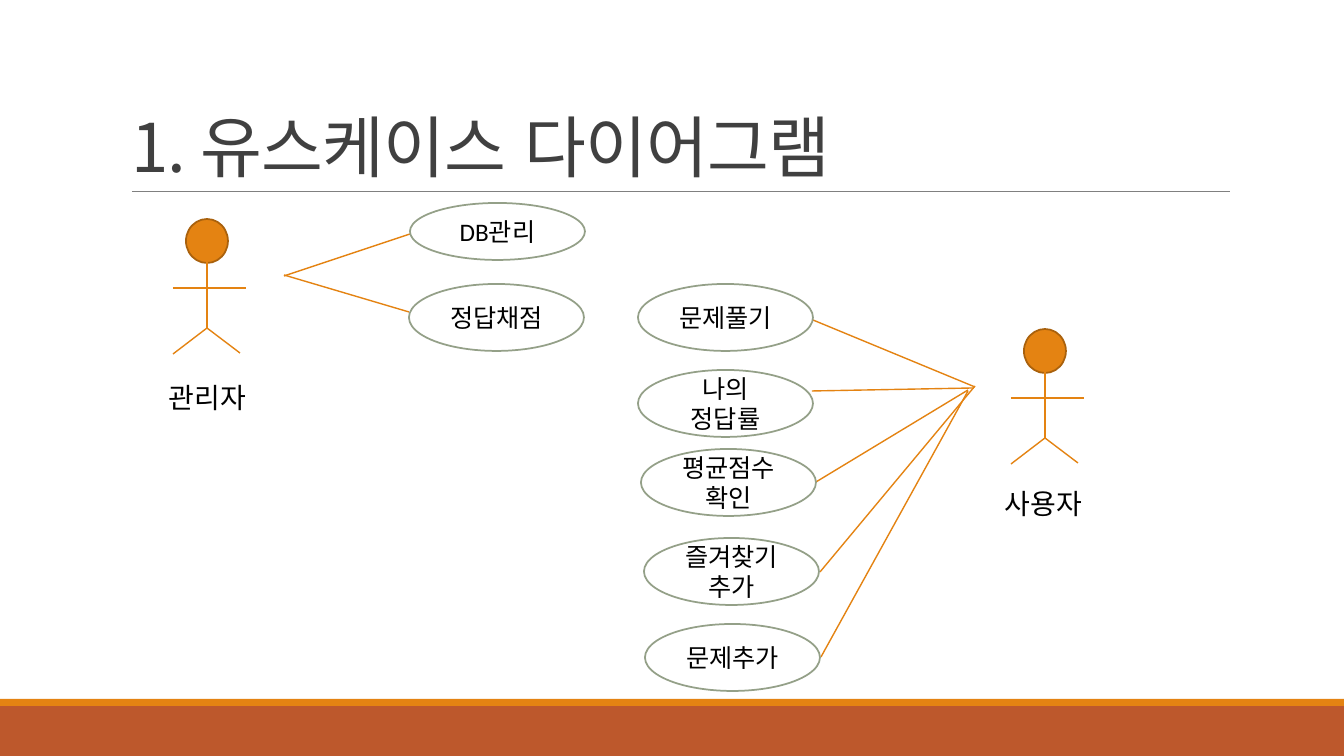
"""Build a use case diagram slide with two actors and their use cases."""
import dataclasses

import lxml.etree
import pptx
import pptx.dml.color
import pptx.enum.lang
import pptx.enum.shapes
import pptx.enum.text
import pptx.oxml.ns
import pptx.util

SHAPE = pptx.enum.shapes.MSO_SHAPE
ALIGN = pptx.enum.text.PP_ALIGN
ANCHOR = pptx.enum.text.MSO_ANCHOR


@dataclasses.dataclass(frozen=True)
class Theme:
    """Colours, fonts and point sizes of the slide."""
    orange: str = "E48312"
    head_edge: str = "A9610D"
    rust: str = "BD582C"
    sage: str = "94A088"
    white: str = "FFFFFF"
    rule: str = "808080"
    title_ink: str = "404040"
    ink: str = "000000"
    latin: str = "Calibri"
    korean: str = "Noto Sans CJK KR"
    title_size: int = 48
    actor_size: int = 20
    case_size: int = 18
    outline: float = 1.25
    stroke: float = 1
    rule_stroke: float = 0.5


THEME = Theme()
SLIDE_SIZE = (1344, 756)
CASE_SIZE = (175, 67)

ACTORS = [
    ("관리자", (173, 219), (159, 376, 130, 44)),
    ("사용자", (1011, 329), (995, 482, 116, 44)),
]
USE_CASES = [
    ("DB관리", (410, 203, 175, 57), (284, 276), (410, 234)),
    ("정답채점", (409, 284, *CASE_SIZE), (284, 275), (409, 312)),
    ("문제풀기", (638, 284, *CASE_SIZE), (813, 320), (975, 387)),
    ("나의 정답률", (638, 370, *CASE_SIZE), (812, 391), (974, 388)),
    ("평균점수 확인", (641, 449, *CASE_SIZE), (816, 482), (968, 390)),
    ("즐겨찾기 추가", (644, 538, *CASE_SIZE), (820, 572), (975, 386)),
    ("문제추가", (645, 624, *CASE_SIZE), (821, 657), (968, 391)),
]


def px(*lengths):
    """Turn pixel lengths into EMU."""
    return [pptx.util.Emu(round(length * 914400 / 100.8)) for length in lengths]


def rgb(code):
    """Return the colour for a hex code."""
    return pptx.dml.color.RGBColor.from_string(code)


def write(frame, words, size, color, latin=THEME.latin, align=ALIGN.LEFT, spacing=None):
    """Set and format the single paragraph of a text frame."""
    frame.text = words
    frame.word_wrap = True
    paragraph = frame.paragraphs[0]
    paragraph.alignment = align
    for run in paragraph.runs:
        run.font.size = pptx.util.Pt(size)
        run.font.color.rgb = rgb(color)
        run.font.name = latin
        run.font.language_id = pptx.enum.lang.MSO_LANGUAGE_ID.KOREAN
        properties = run._r.get_or_add_rPr()
        if spacing is not None:
            properties.set("spc", str(spacing))
        east_asian = lxml.etree.SubElement(properties, pptx.oxml.ns.qn("a:ea"))
        east_asian.set("typeface", THEME.korean)
    return paragraph


def add_filled(slide, kind, box, fill, edge=None):
    """Add a flat preset shape with an optional outline."""
    shape = slide.shapes.add_shape(kind, *px(*box))
    shape.shadow.inherit = False
    shape.fill.solid()
    shape.fill.fore_color.rgb = rgb(fill)
    if edge:
        shape.line.color.rgb = rgb(edge)
        shape.line.width = pptx.util.Pt(THEME.outline)
    else:
        shape.line.fill.background()
    return shape


def add_line(slide, start, end, color=THEME.orange, width=THEME.stroke):
    """Add a straight line without a shadow."""
    straight = pptx.enum.shapes.MSO_CONNECTOR.STRAIGHT
    line = slide.shapes.add_connector(straight, *px(*start, *end))
    line.line.color.rgb = rgb(color)
    line.line.width = pptx.util.Pt(width)
    lxml.etree.SubElement(line._element.spPr, pptx.oxml.ns.qn("a:effectLst"))


def add_footer(slide, box):
    """Draw the rust band with its thin orange top edge."""
    left, top, width, height = box
    edge = 7
    add_filled(slide, SHAPE.RECTANGLE, (left, top + edge, width, height - edge), THEME.rust)
    add_filled(slide, SHAPE.RECTANGLE, (left, top, width, edge), THEME.orange)


def add_heading(slide, words, box):
    """Place the title and the rule under it."""
    left, top, width, height = box
    title = slide.shapes.title
    title.left, title.top, title.width, title.height = px(*box)
    frame = title.text_frame
    frame.auto_size = pptx.enum.text.MSO_AUTO_SIZE.NONE
    frame.vertical_anchor = ANCHOR.BOTTOM
    paragraph = write(frame, words, THEME.title_size, THEME.title_ink,
                      latin=THEME.korean, spacing=-50)
    paragraph.line_spacing = 0.85
    paragraph.space_before = pptx.util.Pt(0)
    bottom = top + height
    add_line(slide, (left + 11, bottom), (left + width, bottom), THEME.rule, THEME.rule_stroke)


def add_actor(slide, name, origin, label_box):
    """Draw a stick figure from its top left corner, and its name."""
    left, top = origin
    middle, hip = left + 34, top + 109
    add_filled(slide, SHAPE.OVAL, (left + 13, top, 42, 44), THEME.orange, THEME.head_edge)
    limbs = [
        ((left, top + 69), (left + 73, top + 69)),
        ((middle, top + 43), (middle, hip)),
        ((middle, hip), (left + 67, top + 134)),
        ((left, top + 135), (middle, hip)),
    ]
    for start, end in limbs:
        add_line(slide, start, end)
    label = slide.shapes.add_textbox(*px(*label_box))
    write(label.text_frame, name, THEME.actor_size, THEME.ink)


def add_use_case(slide, name, box, start, end):
    """Draw a use case and the line that links it to its actor."""
    add_line(slide, start, end)
    case = add_filled(slide, SHAPE.OVAL, box, THEME.white, THEME.sage)
    case.text_frame.vertical_anchor = ANCHOR.MIDDLE
    write(case.text_frame, name, THEME.case_size, THEME.ink, align=ALIGN.CENTER)


def add_use_case_slide(deck):
    """Add the whole use case diagram slide."""
    slide = deck.slides.add_slide(deck.slide_layouts[5])
    add_footer(slide, (0, 699, SLIDE_SIZE[0], 57))
    add_heading(slide, "1. 유스케이스 다이어그램", (121, 31, 1109, 160))
    for actor in ACTORS:
        add_actor(slide, *actor)
    for use_case in USE_CASES:
        add_use_case(slide, *use_case)


def main():
    """Build and save the presentation."""
    deck = pptx.Presentation()
    deck.slide_width, deck.slide_height = px(*SLIDE_SIZE)
    add_use_case_slide(deck)
    deck.save("out.pptx")


if __name__ == "__main__":
    main()
